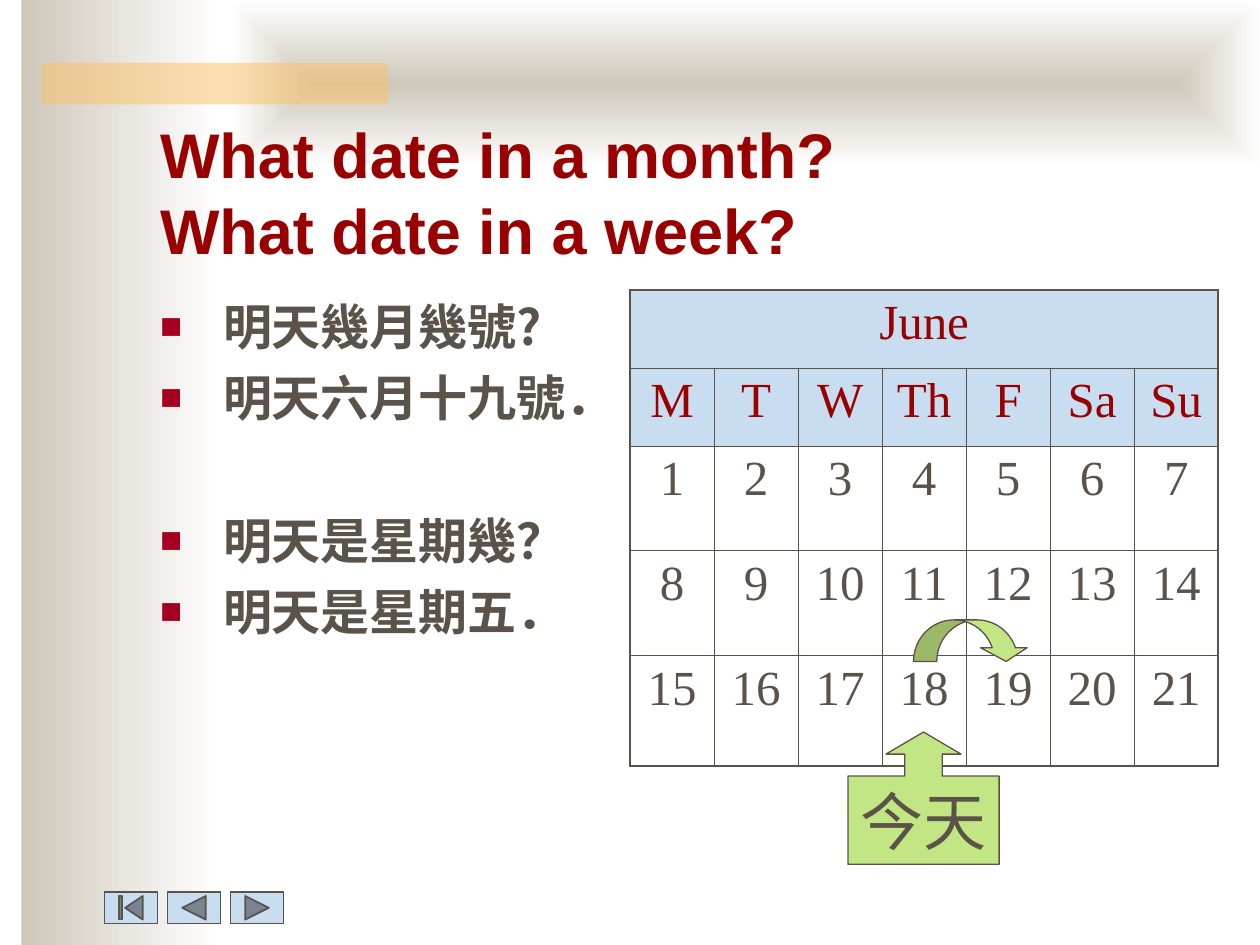
from typing import NamedTuple

from lxml import etree
from pptx import Presentation
from pptx.dml.color import RGBColor
from pptx.enum.shapes import MSO_SHAPE
from pptx.enum.text import MSO_ANCHOR, MSO_AUTO_SIZE, PP_ALIGN
from pptx.oxml.ns import qn
from pptx.util import Inches, Pt

RECTANGLE = MSO_SHAPE.RECTANGLE
CENTER, LEFT = PP_ALIGN.CENTER, PP_ALIGN.LEFT
NAVIGATION = (
    MSO_SHAPE.ACTION_BUTTON_BEGINNING,
    MSO_SHAPE.ACTION_BUTTON_BACK_OR_PREVIOUS,
    MSO_SHAPE.ACTION_BUTTON_FORWARD_OR_NEXT,
)

SAND, WHITE, ORANGE = "CEC8BA", "FFFFFF", "FAC164"
BROWN, RED, BULLET_RED = "5B5249", "990000", "A50021"
SKY, GREEN = "C9DDF1", "C3E684"
SANS, SERIF, CHINESE = "Arial", "Times New Roman", "Noto Sans CJK TC"

TITLE_LINES = ("What date in a month?", "What date in a week?")
DAY_NAMES = ("M", "T", "W", "Th", "F", "Sa", "Su")
ROW_HEIGHTS = (0.62, 0.62, 0.83, 0.83, 0.88)
HEADER_ROWS = 2


class Box(NamedTuple):
    left: float
    top: float
    width: float
    height: float

    def lengths(self) -> list:
        return [Inches(value) for value in self]


class Bullet(NamedTuple):
    text: str
    space_before: float = 7


BULLETS = (
    Bullet("明天幾月幾號?"),
    Bullet("明天六月十九號．"),
    Bullet("明天是星期幾？", 48),
    Bullet("明天是星期五．"),
)


def rgb(color: str) -> RGBColor:
    return RGBColor.from_string(color)


def add_child(parent, tag: str, **attributes: str):
    return etree.SubElement(parent, qn(tag), attributes)


def add_run(paragraph, text: str, size: float, font: str, color: str,
            bold: bool = False) -> None:
    run = paragraph.add_run()
    run.text = text
    run.font.size, run.font.bold, run.font.name = Pt(size), bold, font
    run.font.color.rgb = rgb(color)
    if font == CHINESE:
        add_child(run.font._element, "a:ea", typeface=font)


def draw_shape(slide, kind, box: Box, fill: str = "", line: str = "",
               line_width: float = 0.75, adjustments: tuple = ()):
    shape = slide.shapes.add_shape(kind, *box.lengths())
    shape.shadow.inherit = False
    if fill:
        shape.fill.solid()
        shape.fill.fore_color.rgb = rgb(fill)
    if line:
        shape.line.color.rgb = rgb(line)
        shape.line.width = Pt(line_width)
    else:
        shape.line.fill.background()
    for index, value in enumerate(adjustments):
        shape.adjustments[index] = value
    return shape


def draw_gradient(slide, box: Box, from_center: bool = False) -> None:
    panel = draw_shape(slide, RECTANGLE, box)
    panel.fill.gradient()
    panel.fill.gradient_angle = 0
    for stop, color in zip(panel.fill.gradient_stops, (SAND, WHITE)):
        stop.color.rgb = rgb(color)
    if from_center:
        gradient = panel.element.spPr.find(qn("a:gradFill"))
        gradient.remove(gradient.find(qn("a:lin")))
        rings = add_child(gradient, "a:path", path="rect")
        add_child(rings, "a:fillToRect", l="50000", t="50000", r="50000", b="50000")


def place_placeholder(slide, placeholder, box: Box, anchor):
    """Move a placeholder in front of the backdrop and return its text frame."""
    slide.shapes._spTree.append(placeholder.element)
    placeholder.left, placeholder.top, placeholder.width, placeholder.height = box.lengths()
    frame = placeholder.text_frame
    frame.word_wrap, frame.auto_size = True, MSO_AUTO_SIZE.NONE
    frame.vertical_anchor = anchor
    return frame


def write_bullet(paragraph, bullet: Bullet) -> None:
    paragraph.alignment = LEFT
    paragraph.space_before = Pt(bullet.space_before)
    properties = paragraph._p.get_or_add_pPr()
    properties.set("marL", str(Inches(0.5)))
    properties.set("indent", str(-Inches(0.5)))
    add_child(add_child(properties, "a:buClr"), "a:srgbClr", val=BULLET_RED)
    add_child(properties, "a:buSzPct", val="75000")
    add_child(properties, "a:buFont", typeface=SANS)
    add_child(properties, "a:buChar", char="■")
    add_run(paragraph, bullet.text, 28, CHINESE, BROWN, bold=True)


def set_borders(cell, thick_sides: set) -> None:
    properties = cell._tc.get_or_add_tcPr()
    for index, side in enumerate("LRTB"):
        width = Pt(1.08 if side in thick_sides else 0.45)
        border = etree.Element(qn(f"a:ln{side}"), w=str(width))
        add_child(add_child(border, "a:solidFill"), "a:srgbClr", val=BROWN)
        properties.insert(index, border)


def draw_calendar(slide, box: Box) -> None:
    columns = len(DAY_NAMES)
    weeks = [[str(first + day) for day in range(columns)]
             for first in range(1, 22, columns)]
    rows = [["June"] + [""] * (columns - 1), DAY_NAMES, *weeks]
    table = slide.shapes.add_table(len(rows), columns, *box.lengths()).table
    table.first_row = table.horz_banding = False
    table.cell(0, 0).merge(table.cell(0, columns - 1))
    for row, height in zip(table.rows, ROW_HEIGHTS):
        row.height = Inches(height)
    for r, labels in enumerate(rows):
        is_header = r < HEADER_ROWS
        for c, label in enumerate(labels):
            cell = table.cell(r, c)
            if is_header:
                cell.fill.solid()
                cell.fill.fore_color.rgb = rgb(SKY)
            else:
                cell.fill.background()
            edges = {"L": c == 0, "R": c == columns - 1 or label == "June",
                     "T": r == 0, "B": r == len(rows) - 1}
            set_borders(cell, {side for side, outer in edges.items() if outer})
            if label:
                paragraph = cell.text_frame.paragraphs[0]
                paragraph.alignment, paragraph.space_before = CENTER, Pt(7)
                add_run(paragraph, label, 28, SERIF, RED if is_header else BROWN)


def main() -> None:
    deck = Presentation()
    deck.slide_width, deck.slide_height = Inches(10), Inches(7.5)
    slide = deck.slides.add_slide(deck.slide_layouts[1])
    title, body = slide.placeholders

    # Backdrop
    draw_gradient(slide, Box(0.17, 0, 1.58, 7.5))
    draw_gradient(slide, Box(1.83, 0, 8.17, 1.33), from_center=True)
    accent = draw_shape(slide, RECTANGLE, Box(0.33, 0.5, 2.75, 0.33), ORANGE)
    accent_color = accent.element.spPr.find(f".//{qn('a:srgbClr')}")
    add_child(accent_color, "a:alpha", val="50000")

    # Navigation buttons
    for index, kind in enumerate(NAVIGATION):
        draw_shape(slide, kind, Box(0.83 + 0.5 * index, 7.08, 0.42, 0.25), SKY, BROWN, 1)

    # Title
    frame = place_placeholder(slide, title, Box(1.17, 0.92, 8.5, 1.25), MSO_ANCHOR.BOTTOM)
    heading = frame.paragraphs[0]
    heading.alignment = LEFT
    for index, line in enumerate(TITLE_LINES):
        if index:
            heading.add_line_break()
        add_run(heading, line, 36, SANS, RED, bold=True)

    # Questions and answers
    frame = place_placeholder(slide, body, Box(1.17, 2.3, 3.5, 4.5), MSO_ANCHOR.TOP)
    for index, bullet in enumerate(BULLETS):
        write_bullet(frame.add_paragraph() if index else frame.paragraphs[0], bullet)

    # Calendar with today's marker and the step to tomorrow
    draw_calendar(slide, Box(5, 2.3, 4.67, 3.78))
    today = draw_shape(slide, MSO_SHAPE.UP_ARROW_CALLOUT, Box(6.73, 5.81, 1.2, 1.05),
                       GREEN, BROWN, adjustments=(0.284, 0.284, 0.167, 0.667))
    today.text_frame.word_wrap = False
    today.text_frame.vertical_anchor = MSO_ANCHOR.MIDDLE
    today.text_frame.paragraphs[0].alignment = CENTER
    add_run(today.text_frame.paragraphs[0], "今天", 36, SERIF, BROWN)
    draw_shape(slide, MSO_SHAPE.CURVED_DOWN_ARROW, Box(7.25, 4.92, 0.92, 0.33),
               GREEN, BROWN, adjustments=(0.56, 1.12, 0.33))

    deck.save("out.pptx")


if __name__ == "__main__":
    main()
